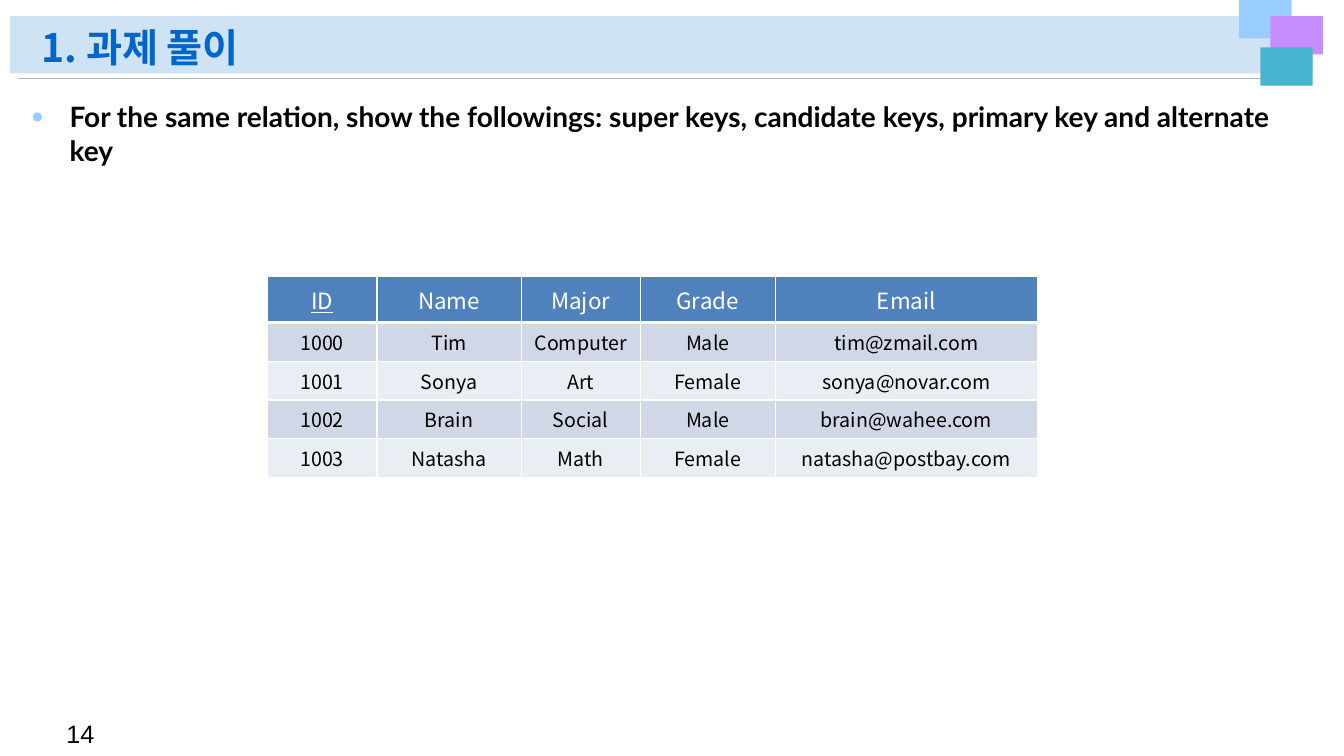
from lxml import etree
from pptx import Presentation
from pptx.dml.color import RGBColor
from pptx.enum.shapes import MSO_CONNECTOR, MSO_SHAPE
from pptx.enum.text import MSO_ANCHOR, MSO_AUTO_SIZE, PP_ALIGN
from pptx.oxml.ns import qn
from pptx.util import Inches, Pt

RECTANGLE = MSO_SHAPE.RECTANGLE
STRAIGHT = MSO_CONNECTOR.STRAIGHT
MIDDLE = MSO_ANCHOR.MIDDLE
BOTTOM = MSO_ANCHOR.BOTTOM
LEFT = PP_ALIGN.LEFT
CENTER = PP_ALIGN.CENTER
NO_AUTOFIT = MSO_AUTO_SIZE.NONE
FIT_SHAPE = MSO_AUTO_SIZE.SHAPE_TO_FIT_TEXT

KOREAN_FONT = "Noto Sans CJK KR"
COLUMN_WIDTHS = [1.09, 1.43, 1.18, 1.34, 2.6]
HEADER_HEIGHT, ROW_HEIGHT = 0.46, 0.36
STUDENTS = [
    ["ID", "Name", "Major", "Grade", "Email"],
    ["1000", "Tim", "Computer", "Male", "tim@zmail.com"],
    ["1001", "Sonya", "Art", "Female", "sonya@novar.com"],
    ["1002", "Brain", "Social", "Male", "brain@wahee.com"],
    ["1003", "Natasha", "Math", "Female", "natasha@postbay.com"],
]


def color(value):
    """Return the colour for a hex string."""
    return RGBColor.from_string(value)


def place(shape, left, top, width, height):
    """Move and size a shape, in inches."""
    shape.left, shape.top = Inches(left), Inches(top)
    shape.width, shape.height = Inches(width), Inches(height)


def add_run(paragraph, text, font, size, fill, bold=False, underline=False):
    """Add one formatted run, with its font for Latin and Korean letters."""
    run = paragraph.add_run()
    run.text = text
    run.font.name = font
    run.font.size = Pt(size)
    run.font.bold = bold
    run.font.underline = underline
    run.font.color.rgb = color(fill)
    east_asian = etree.Element(qn("a:ea"), typeface=font)
    run.font._element.find(qn("a:latin")).addnext(east_asian)


def add_block(slide, left, top, width, height, fill):
    """Add a plain filled rectangle."""
    block = slide.shapes.add_shape(
        RECTANGLE, Inches(left), Inches(top), Inches(width), Inches(height))
    block.shadow.inherit = False
    block.fill.solid()
    block.fill.fore_color.rgb = color(fill)
    block.line.fill.background()


def add_header(slide, left, top, width, text):
    """Draw the title bar with its rule and corner squares, then the title."""
    right = left + width
    add_block(slide, left, top, width, 0.57, "D0E3F5")
    rule = slide.shapes.add_connector(
        STRAIGHT, Inches(right - 0.03), Inches(top + 0.62),
        Inches(left + 0.08), Inches(top + 0.62))
    rule.line.color.rgb = color("B2B2B2")
    rule.line.width = Pt(0.5)
    etree.SubElement(rule._element.spPr, qn("a:effectLst"))
    squares = [(-0.73, -0.16, "99CCFF"), (-0.42, 0, "C68DFF"), (-0.52, 0.31, "47B5CF")]
    for offset_x, offset_y, fill in squares:
        add_block(slide, right + offset_x, top + offset_y, 0.52, 0.38, fill)

    title = slide.shapes.title
    place(title, left + 0.21, top + 0.01, 11.98, 0.58)
    title.element.getparent().append(title.element)
    frame = title.text_frame
    frame.auto_size = NO_AUTOFIT
    frame.vertical_anchor = BOTTOM
    paragraph = frame.paragraphs[0]
    paragraph.alignment = LEFT
    paragraph.line_spacing = 0.9
    add_run(paragraph, text, KOREAN_FONT, 28, "0066CC", bold=True)


def add_question(slide, left, top, width, height, text):
    """Fill the body placeholder with one bulleted question."""
    body = slide.placeholders[1]
    place(body, left, top, width, height)
    body.text_frame.auto_size = NO_AUTOFIT
    paragraph = body.text_frame.paragraphs[0]
    properties = paragraph._p.get_or_add_pPr()
    properties.set("marL", str(Inches(0.38)))
    properties.set("indent", str(Inches(-0.38)))
    bullet_color = etree.SubElement(properties, qn("a:buClr"))
    etree.SubElement(bullet_color, qn("a:srgbClr"), val="99CCFF")
    etree.SubElement(properties, qn("a:buSzPct"), val="75000")
    etree.SubElement(properties, qn("a:buChar"), char="●")
    add_run(paragraph, text, "Lato", 20, "000000", bold=True)


def add_borders(cell, top, bottom):
    """Give a cell white borders, with top and bottom widths in points."""
    properties = cell._tc.get_or_add_tcPr()
    for side, width in (("L", 1), ("R", 1), ("T", top), ("B", bottom)):
        line = etree.SubElement(properties, qn(f"a:ln{side}"), w=str(Pt(width)))
        fill = etree.SubElement(line, qn("a:solidFill"))
        etree.SubElement(fill, qn("a:srgbClr"), val="FFFFFF")


def add_student_table(slide, left, top):
    """Add the student relation with a header and banded rows."""
    height = HEADER_HEIGHT + ROW_HEIGHT * (len(STUDENTS) - 1)
    table = slide.shapes.add_table(
        len(STUDENTS), len(COLUMN_WIDTHS), Inches(left), Inches(top),
        Inches(sum(COLUMN_WIDTHS)), Inches(height)).table
    for column, width in zip(table.columns, COLUMN_WIDTHS):
        column.width = Inches(width)
    for row_index, values in enumerate(STUDENTS):
        is_header = row_index == 0
        table.rows[row_index].height = Inches(HEADER_HEIGHT if is_header else ROW_HEIGHT)
        band = "D0D8E8" if row_index % 2 else "E9EDF4"
        for column_index, value in enumerate(values):
            cell = table.cell(row_index, column_index)
            add_borders(cell, 3 if row_index == 1 else 1, 3 if is_header else 1)
            cell.fill.solid()
            cell.fill.fore_color.rgb = color("4F81BD" if is_header else band)
            cell.vertical_anchor = MIDDLE
            paragraph = cell.text_frame.paragraphs[0]
            paragraph.alignment = CENTER
            add_run(paragraph, value, KOREAN_FONT, 16 if is_header else 14,
                    "FFFFFF" if is_header else "000000", underline=value == "ID")


def add_page_number(slide, left, top, number):
    """Add the page number in the lower corner."""
    box = slide.shapes.add_textbox(Inches(left), Inches(top), Inches(0.51), Inches(0.4))
    box.text_frame.word_wrap = False
    box.text_frame.auto_size = FIT_SHAPE
    add_run(box.text_frame.paragraphs[0], number, "Arial", 18, "000000")


def main():
    """Build and save the slide."""
    presentation = Presentation()
    presentation.slide_width = Inches(13.33)
    presentation.slide_height = Inches(7.5)
    slide = presentation.slides.add_slide(presentation.slide_layouts[1])
    add_header(slide, 0.1, 0.16, 12.92, "1. 과제 풀이")
    add_question(slide, 0.21, 0.94, 12.81, 6.02,
                 "For the same relation, show the followings: super keys, "
                 "candidate keys, primary key and alternate key")
    add_student_table(slide, 2.65, 2.74)
    add_page_number(slide, 0.56, 7.08, "14")
    presentation.save("out.pptx")


if __name__ == "__main__":
    main()
